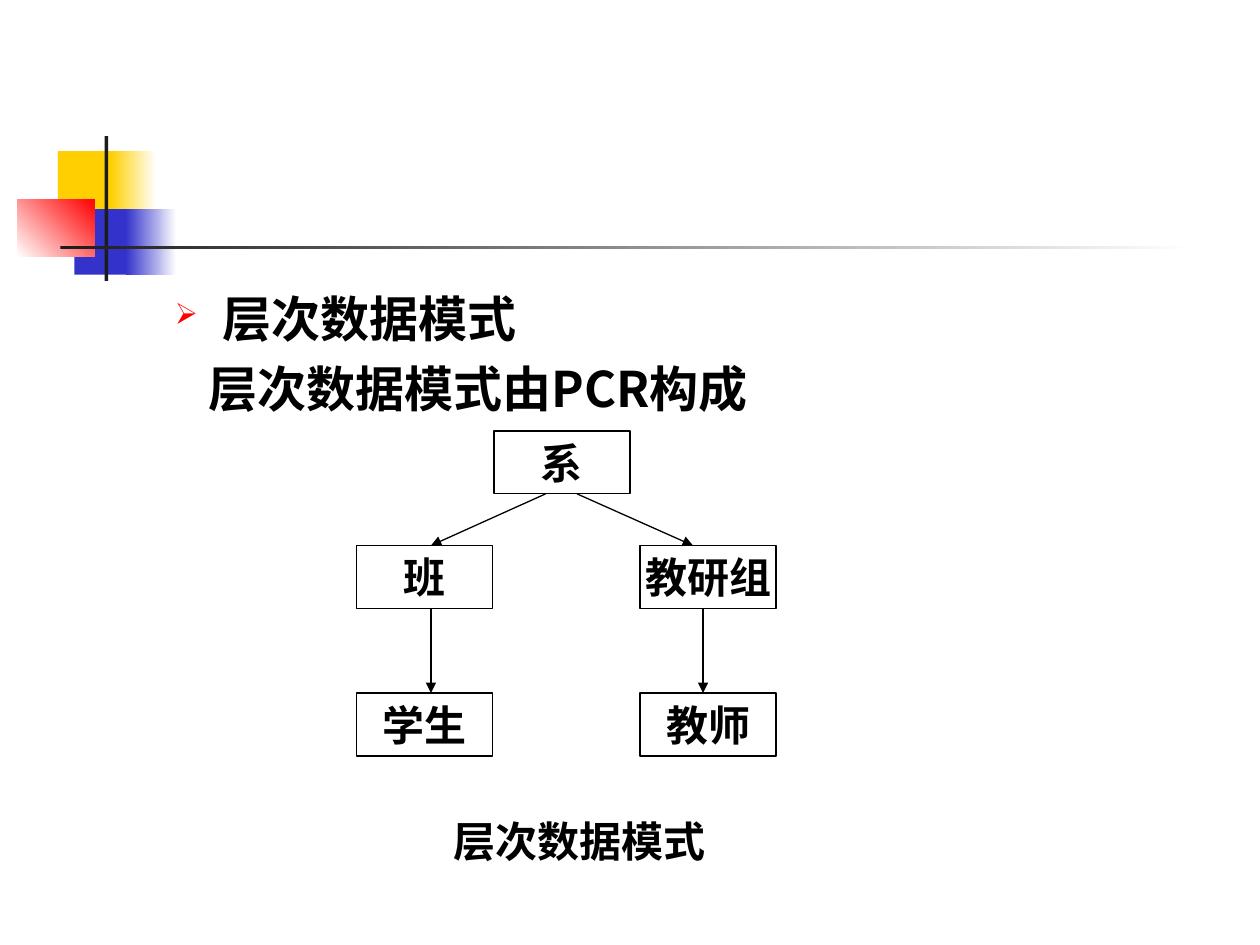
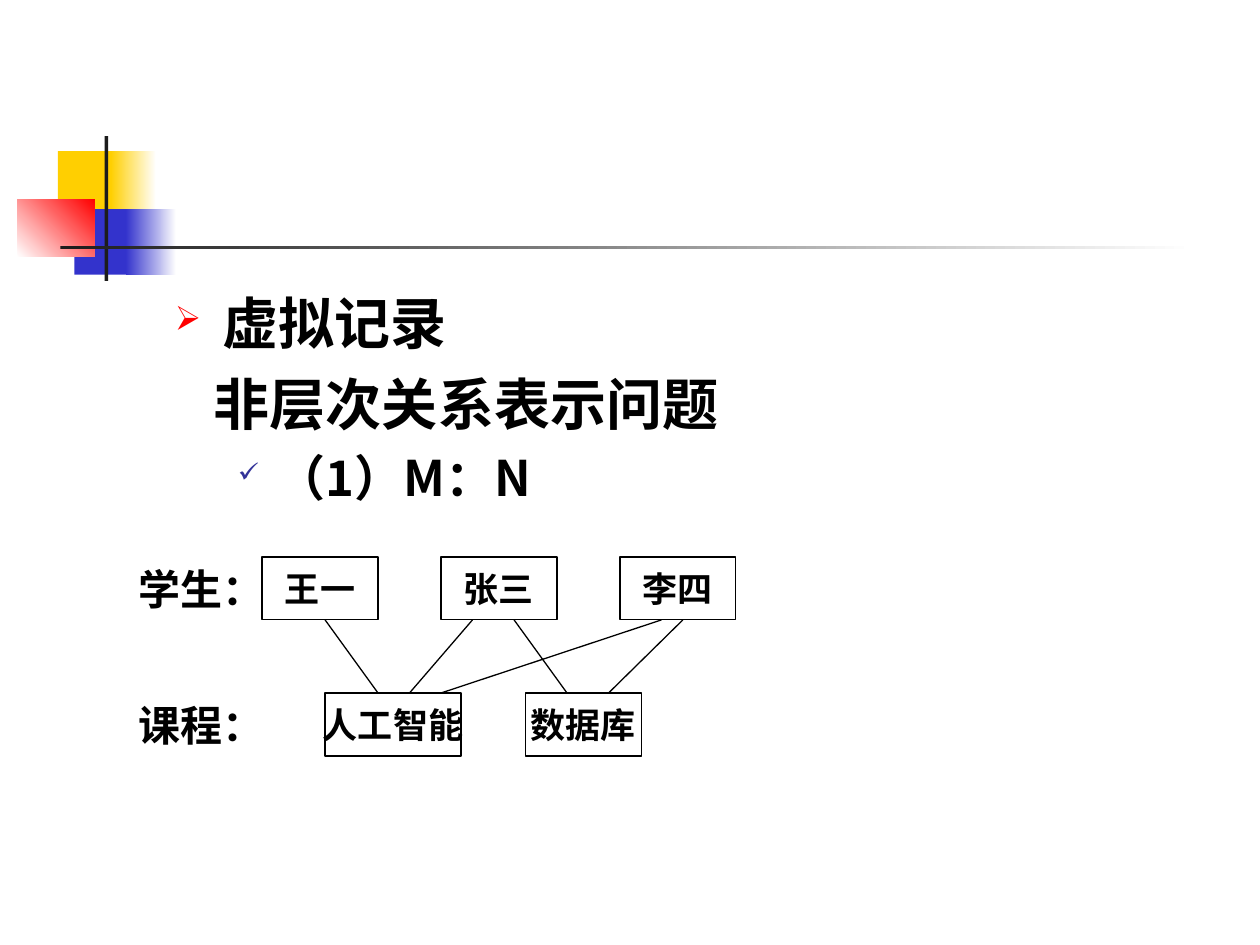
from lxml import etree
from pptx import Presentation
from pptx.dml.color import RGBColor
from pptx.enum import shapes, text
from pptx.oxml.ns import qn
from pptx.util import Inches, Pt

# Shared look
BLACK = RGBColor(0, 0, 0)
WHITE = RGBColor(255, 255, 255)
GOLD = RGBColor(0xFF, 0xCF, 0x01)
BLUE = RGBColor(0x33, 0x33, 0xCC)
RED = RGBColor(255, 0, 0)
INK = RGBColor(0x1C, 0x1C, 0x1C)
SANS, CABIN = "Noto Sans CJK SC", "Cabin"
LEAD = 1.19  # body line height per point of type
BOX_H = 0.5

# Corner motif: left, top, width, height, colours (two make a gradient), angle
MOTIF = [
    (0.46, 1.2, 0.48, 0.52, (GOLD,), 0),
    (0.88, 1.2, 0.36, 0.52, (GOLD, WHITE), 0),
    (0.59, 1.66, 0.46, 0.52, (BLUE,), 0),
    (1, 1.66, 0.4, 0.52, (BLUE, WHITE), 0),
    (0.14, 1.58, 0.61, 0.46, (WHITE, RED), 45),
    (0.83, 1.08, 0.03, 1.15, (INK,), 0),
    (0.48, 1.95, 9, 0.03, (INK, WHITE), 0),
]

# Bullets: character, colour, size in percent
ARROW = ("➢", "FF0000", 60)
CHECK = ("✓", "333399", 55)

# Slide content
# body: text, size, space before, margin, indent, bullet
# rows: top, [(text, left, width)]; lines: x from, x to, between two rows
# notes: text, left, top, width
SLIDES = [
    dict(
        high=1.29,
        body=[("层次数据模式", 28, 0, 0.38, -0.38, ARROW),
              ("层次数据模式由PCR构成", 28, 7, 0.27, 0, None)],
        size=24,
        rows=[(3.42, [("系", 3.92, 1.08)]),
              (4.33, [("班", 2.83, 1.08), ("教研组", 5.08, 1.08)]),
              (5.5, [("学生", 2.83, 1.08), ("教师", 5.08, 1.08)])],
        lines=[[(4.33, 3.42), (4.58, 5.5)],
               [(3.42, 3.42), (5.58, 5.58)]],
        tip=True,
        notes=[("层次数据模式", 3.5, 6.42, 2.67)],
    ),
    dict(
        high=1.96,
        body=[("虚拟记录", 32, 0, 0.38, -0.38, ARROW),
              ("非层次关系表示问题", 32, 8, 0.31, 0, None),
              ("（1）M：N", 28, 7, 0.81, -0.31, CHECK)],
        size=20,
        rows=[(4.42, [("王一", 2.08, 0.92), ("张三", 3.5, 0.92),
                      ("李四", 4.92, 0.92)]),
              (5.5, [("人工智能", 2.58, 1.08), ("数据库", 4.17, 0.92)])],
        lines=[[(2.58, 3), (3.75, 3.25), (5.25, 3.5), (4.08, 4.5),
                (5.42, 4.83)]],
        tip=False,
        notes=[("学生：", 1, 4.42, 1.08), ("课程：", 1, 5.5, 1)],
    ),
]


def sub(node, tag, **attrs):
    return etree.SubElement(node, qn(tag), attrs)


def write(para, words, size=24, face=CABIN, before=0, lead=None,
          margin=0, indent=0, bullet=None, align=text.PP_ALIGN.LEFT):
    """Put bold black text in a paragraph."""
    para.alignment = align
    para.space_before = Pt(before)
    if lead:
        para.line_spacing = Pt(round(size * lead))
    props = para._p.get_or_add_pPr()
    props.set("marL", str(Inches(margin)))
    props.set("indent", str(Inches(indent)))
    if bullet:
        mark, tint, scale = bullet
        sub(sub(props, "a:buClr"), "a:srgbClr", val=tint)
        sub(props, "a:buSzPct", val=str(scale * 1000))
        sub(props, "a:buChar", char=mark)
    else:
        sub(props, "a:buNone")
    run = para.add_run()
    run.text = words
    font = run.font
    font.size, font.bold, font.name = Pt(size), True, face
    font.color.rgb = BLACK
    sub(run._r.get_or_add_rPr(), "a:ea", typeface=face)


def frame(slide, left, top, wide, high):
    area = slide.shapes.add_textbox(*map(Inches, (left, top, wide, high)))
    area.text_frame.word_wrap = True
    return area.text_frame


def rect(slide, left, top, wide, high):
    shape = slide.shapes.add_shape(
        shapes.MSO_SHAPE.RECTANGLE, *map(Inches, (left, top, wide, high)))
    shape.shadow.inherit = False
    return shape


def motif(slide):
    for *place, tints, angle in MOTIF:
        shape = rect(slide, *place)
        shape.line.fill.background()
        if len(tints) == 1:
            shape.fill.solid()
            shape.fill.fore_color.rgb = tints[0]
        else:
            shape.fill.gradient()
            shape.fill.gradient_angle = angle
            for stop, tint in zip(shape.fill.gradient_stops, tints):
                stop.color.rgb = tint


def node(slide, words, left, top, wide, size):
    shape = rect(slide, left, top, wide, BOX_H)
    shape.fill.background()
    shape.line.color.rgb = BLACK
    shape.line.width = Pt(0.75)
    body = shape.text_frame
    body.word_wrap = False
    body.vertical_anchor = text.MSO_ANCHOR.MIDDLE
    write(body.paragraphs[0], words, size=size, align=text.PP_ALIGN.CENTER)


def link(slide, start, end, tip):
    line = slide.shapes.add_connector(
        shapes.MSO_CONNECTOR.STRAIGHT, *map(Inches, start + end))
    line.line.color.rgb = BLACK
    line.line.width = Pt(0.75)
    if tip:
        sub(line.line._get_or_add_ln(), "a:tailEnd", type="triangle")
    sub(line._element.spPr, "a:effectLst")


def build(deck, data):
    slide = deck.slides.add_slide(deck.slide_layouts[6])
    motif(slide)

    # Body text
    body = frame(slide, 1.29, 2.25, 8.5, data["high"])
    for i, (words, size, before, margin, indent, bullet) in enumerate(data["body"]):
        para = body.add_paragraph() if i else body.paragraphs[0]
        write(para, words, size=size, face=SANS, before=before, lead=LEAD,
              margin=margin, indent=indent, bullet=bullet)

    # Diagram: boxes by row, then lines from each row to the next
    rows = data["rows"]
    for top, boxes in rows:
        for words, left, wide in boxes:
            node(slide, words, left, top, wide, data["size"])
    for (upper, _), (lower, _), pairs in zip(rows, rows[1:], data["lines"]):
        for x1, x2 in pairs:
            link(slide, (x1, upper + BOX_H), (x2, lower), data["tip"])

    # Caption and row labels
    for words, left, top, wide in data["notes"]:
        write(frame(slide, left, top, wide, BOX_H).paragraphs[0], words)


def main():
    deck = Presentation()
    deck.slide_width, deck.slide_height = Inches(10), Inches(7.5)
    for data in SLIDES:
        build(deck, data)
    deck.save("out.pptx")


if __name__ == "__main__":
    main()
